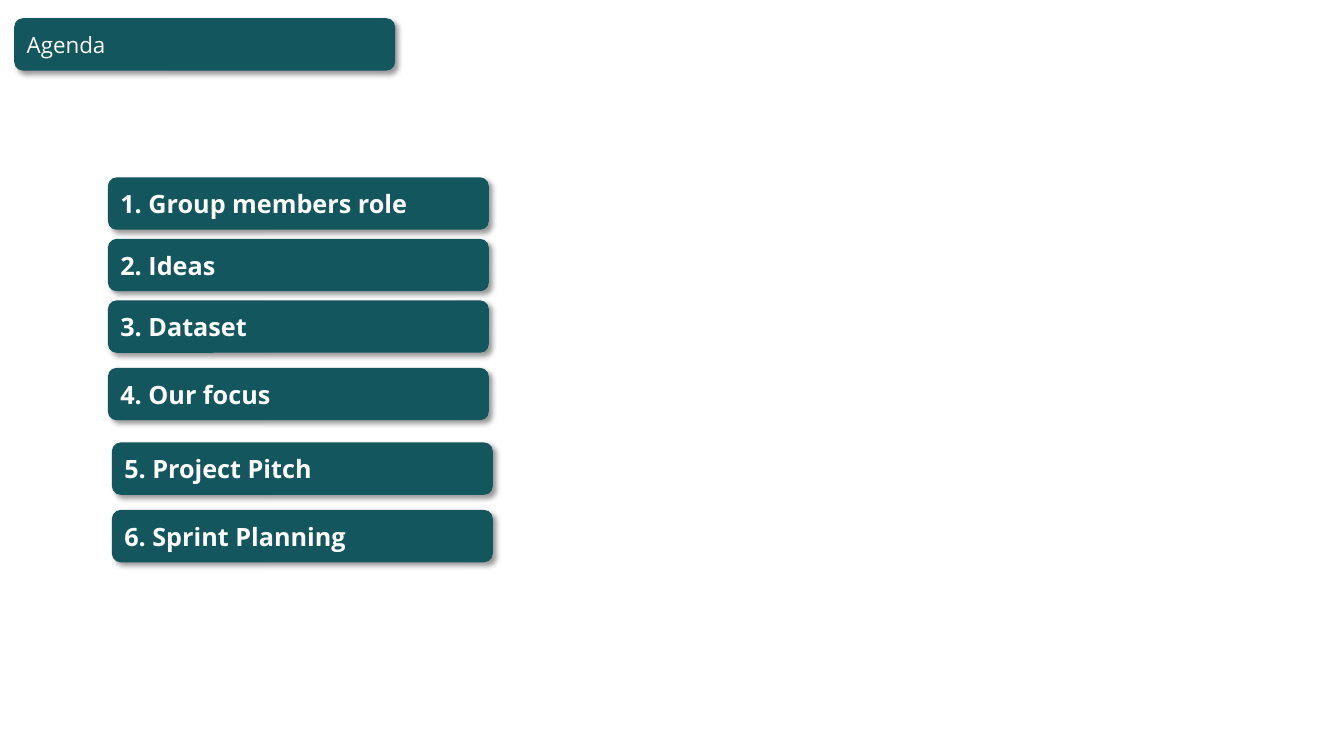
from lxml.etree import SubElement
from pptx import Presentation
from pptx.dml.color import RGBColor
from pptx.enum.shapes import MSO_SHAPE
from pptx.enum.text import MSO_ANCHOR, PP_ALIGN
from pptx.oxml.ns import qn
from pptx.util import Cm, Pt

COLOURS = {"teal": "13565E", "white": "FFFFFF", "shadow": "000000"}
FONT = "Open Sans"
BAR_WIDTH, BAR_HEIGHT = 9.6, 1.32

# Agenda items: text, left and top in cm
ITEMS = [
    ("1. Group members role", 2.72, 4.47),
    ("2. Ideas", 2.72, 6.02),
    ("3. Dataset", 2.72, 7.57),
    ("4. Our focus", 2.72, 9.27),
    ("5. Project Pitch", 2.82, 11.15),
    ("6. Sprint Planning", 2.82, 12.85),
]


class AgendaPage:
    """Holds the style and the current slide."""

    def __init__(self, page):
        self.page = page

    def colour(self, name):
        return RGBColor.from_string(COLOURS[name])

    def background(self):
        fill = self.page.background.fill
        fill.solid()
        fill.fore_color.rgb = self.colour("white")

    def bar(self, text, left, top, size=18, bold=True):
        box = self.page.shapes.add_shape(
            MSO_SHAPE.ROUNDED_RECTANGLE,
            Cm(left), Cm(top), Cm(BAR_WIDTH), Cm(BAR_HEIGHT))
        box.fill.solid()
        box.fill.fore_color.rgb = self.colour("teal")
        box.line.fill.background()
        self.shadow(box)

        frame = box.text_frame
        frame.word_wrap = True
        frame.vertical_anchor = MSO_ANCHOR.MIDDLE
        para = frame.paragraphs[0]
        para.alignment = PP_ALIGN.LEFT
        span = para.add_run()
        span.text = text
        span.font.name = FONT
        span.font.size = Pt(size)
        span.font.bold = bold
        span.font.color.rgb = self.colour("white")

    def shadow(self, box):
        box.shadow.inherit = False
        effects = box._element.spPr.find(qn("a:effectLst"))
        outer = SubElement(
            effects, qn("a:outerShdw"), blurRad=str(Pt(4)), dist=str(Pt(3)),
            dir=str(45 * 60000), algn="tl", rotWithShape="0")
        tint = SubElement(outer, qn("a:srgbClr"), val=COLOURS["shadow"])
        SubElement(tint, qn("a:alpha"), val="40000")


def main():
    deck = Presentation()
    deck.slide_width, deck.slide_height = Cm(33.87), Cm(19.05)
    agenda = AgendaPage(deck.slides.add_slide(deck.slide_layouts[6]))
    agenda.background()

    # Title bar
    agenda.bar("Agenda", 0.36, 0.46, size=16, bold=False)

    # Numbered items
    for text, left, top in ITEMS:
        agenda.bar(text, left, top)

    deck.save("out.pptx")


if __name__ == "__main__":
    main()
